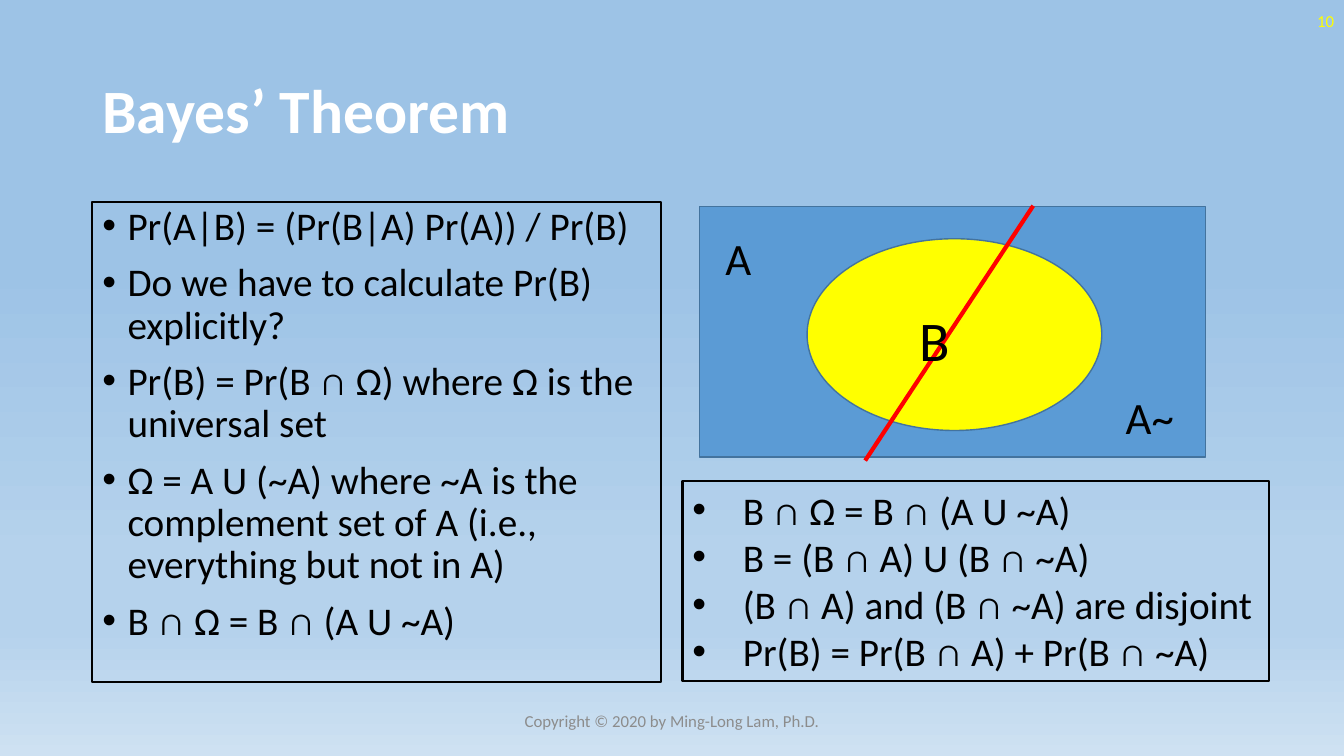
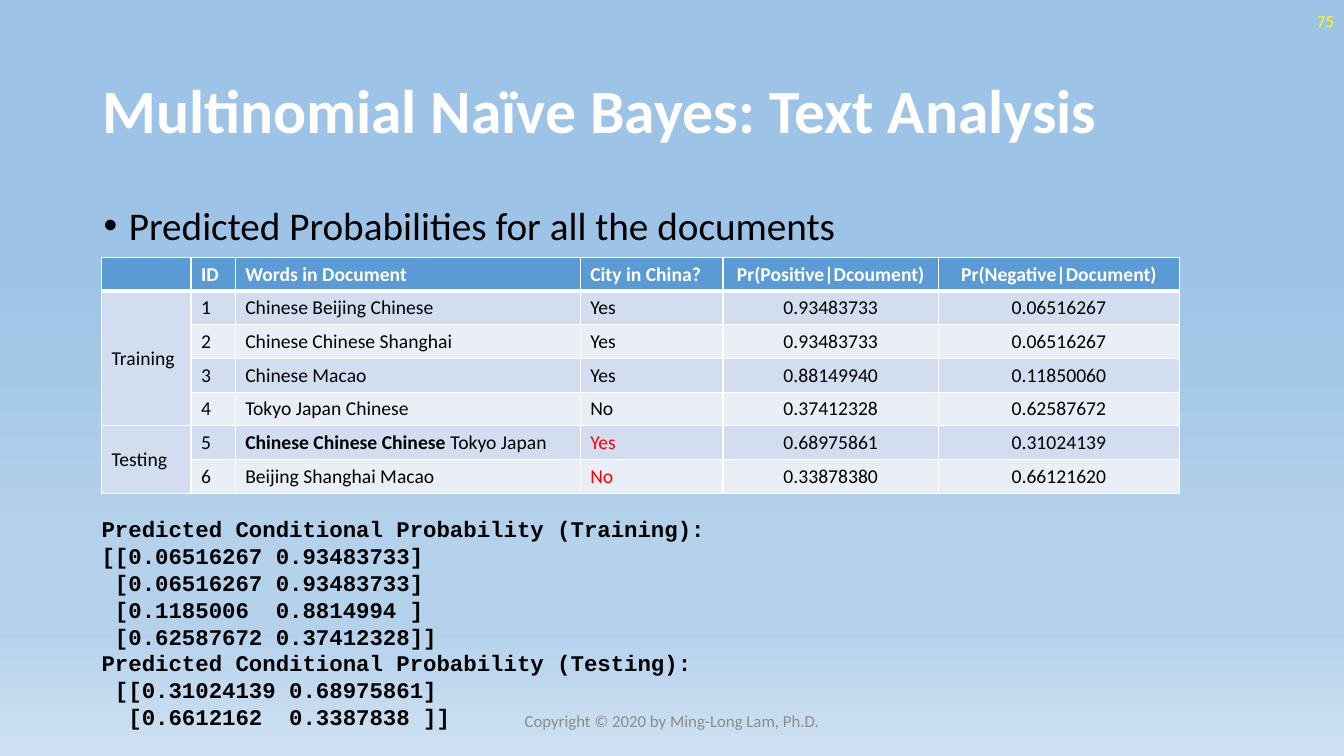
import copy
import lxml.etree
import pptx
import pptx.dml.color
import pptx.enum.shapes
import pptx.enum.text
import pptx.oxml.ns
import pptx.util

Pt = pptx.util.Pt
RGBColor = pptx.dml.color.RGBColor
SHAPE = pptx.enum.shapes.MSO_SHAPE
ALIGN = pptx.enum.text.PP_ALIGN
ANCHOR = pptx.enum.text.MSO_ANCHOR
qn = pptx.oxml.ns.qn

BLACK = RGBColor(0x00, 0x00, 0x00)
WHITE = RGBColor(0xFF, 0xFF, 0xFF)
YELLOW = RGBColor(0xFF, 0xFF, 0x00)
RED = RGBColor(0xFF, 0x00, 0x00)
GRAY = RGBColor(0x8C, 0x8C, 0x8C)
BLUE = RGBColor(0x5B, 0x9B, 0xD5)
DARK_BLUE = RGBColor(0x43, 0x73, 0x9E)
BANDS = (RGBColor(0xD2, 0xDE, 0xEF), RGBColor(0xEA, 0xEF, 0xF7))
SKY = RGBColor(0x9D, 0xC3, 0xE6)
HAZE = RGBColor(0xB5, 0xD2, 0xEC)
HORIZON = RGBColor(0xCE, 0xE1, 0xF2)
BACKGROUND = ((0.35, SKY), (0.74, HAZE), (0.83, HAZE), (1, HORIZON))

FOOTER = "Copyright © 2020 by Ming-Long Lam, Ph.D."
LEFT, BODY_TOP, BODY_HEIGHT = 66, 144, 343

BAYES_POINTS = [
    "Pr(A|B) = (Pr(B|A) Pr(A)) / Pr(B)",
    "Do we have to calculate Pr(B) explicitly?",
    "Pr(B) = Pr(B ∩ Ω) where Ω is the universal set",
    "Ω = A U (~A) where ~A is the complement set of A (i.e., everything but not in A)",
    "B ∩ Ω = B ∩ (A U ~A)",
]
PARTITION_POINTS = [
    "B ∩ Ω = B ∩ (A U ~A)",
    "B = (B ∩ A) U (B ∩ ~A)",
    "(B ∩ A) and (B ∩ ~A) are disjoint",
    "Pr(B) = Pr(B ∩ A) + Pr(B ∩ ~A)",
]
SET_LABELS = [
    ("A", (511, 161, 33, 46), 32),
    ("A~", (797, 275, 54, 46), 32),
    ("B", (650, 214.5, 66, 55), 40),
]

COLUMN_WIDTHS = (64, 31.5, 246.5, 102, 154, 172)
ROW_HEIGHT = 24
HEADER = ["", "ID", "Words in Document", "City in China?",
          "Pr(Positive|Dcoument)", "Pr(Negative|Document)"]
DOCUMENTS = {
    "Training": [
        ("1", "Chinese Beijing Chinese", "Yes", "0.93483733", "0.06516267"),
        ("2", "Chinese Chinese Shanghai", "Yes", "0.93483733", "0.06516267"),
        ("3", "Chinese Macao", "Yes", "0.88149940", "0.11850060"),
        ("4", "Tokyo Japan Chinese", "No", "0.37412328", "0.62587672"),
    ],
    "Testing": [
        ("5", [("Chinese Chinese Chinese", True), (" Tokyo Japan", False)],
         "Yes", "0.68975861", "0.31024139"),
        ("6", "Beijing Shanghai Macao", "No", "0.33878380", "0.66121620"),
    ],
}
CITY_COLUMN, FIRST_PROBABILITY_COLUMN = 3, 4
PROGRAM_OUTPUT = [
    "Predicted Conditional Probability (Training):",
    "[[0.06516267 0.93483733]",
    " [0.06516267 0.93483733]",
    " [0.1185006  0.8814994 ]",
    " [0.62587672 0.37412328]]",
    "Predicted Conditional Probability (Testing):",
    " [[0.31024139 0.68975861]",
    "  [0.6612162  0.3387838 ]]",
]


def points(lengths):
    return [Pt(length) for length in lengths]


def write(frame, paragraphs, size=28, color=BLACK, bold=False, font="Calibri",
          align=ALIGN.LEFT, anchor=ANCHOR.TOP, indent=0, spacing=1.0, before=0):
    frame.word_wrap = True
    frame.vertical_anchor = anchor
    for index, content in enumerate(paragraphs):
        paragraph = frame.add_paragraph() if index else frame.paragraphs[0]
        if indent:
            properties = paragraph._p.get_or_add_pPr()
            properties.set("marL", str(Pt(indent)))
            properties.set("indent", str(-Pt(indent)))
            lxml.etree.SubElement(properties, qn("a:buFont"), typeface="Arial")
            lxml.etree.SubElement(properties, qn("a:buChar"), char="•")
        paragraph.alignment = align
        paragraph.line_spacing = spacing
        paragraph.space_before = Pt(before if index else 0)
        if not content:
            lxml.etree.SubElement(paragraph._p, qn("a:endParaRPr"), sz=str(size * 100))
            continue
        runs = [(content, bold)] if isinstance(content, str) else content
        for text, run_bold in runs:
            run = paragraph.add_run()
            run.text = text
            run.font.size = Pt(size)
            run.font.name = font
            run.font.bold = run_bold
            run.font.color.rgb = color


def add_text(slide, box, paragraphs, outlined=False, **text_format):
    text_box = slide.shapes.add_textbox(*points(box))
    if outlined:
        text_box.line.color.rgb = BLACK
        text_box.line.width = Pt(1.5)
    write(text_box.text_frame, paragraphs, **text_format)


def add_region(slide, kind, box, fill):
    region = slide.shapes.add_shape(kind, *points(box))
    region.shadow.inherit = False
    region.fill.solid()
    region.fill.fore_color.rgb = fill
    region.line.color.rgb = DARK_BLUE
    region.line.width = Pt(1)


def add_slide(deck, title, number):
    slide = deck.slides.add_slide(deck.slide_layouts[6])
    background = slide.background.fill
    background.gradient()
    background.gradient_angle = 270
    stop_list = slide.element.find(".//" + qn("a:gsLst"))
    while len(stop_list) < len(BACKGROUND):
        stop_list.append(copy.deepcopy(stop_list[0]))
    for stop, (position, color) in zip(background.gradient_stops, BACKGROUND):
        stop.position = position
        stop.color.rgb = color
    add_text(slide, (LEFT, 29, 828, 104), [title], size=44, color=WHITE, bold=True,
             anchor=ANCHOR.MIDDLE, spacing=0.9)
    add_text(slide, (744, 0, 216, 29), [number], size=12, color=YELLOW,
             align=ALIGN.RIGHT, anchor=ANCHOR.MIDDLE)
    add_text(slide, (318, 500.5, 324, 29), [FOOTER], size=12, color=GRAY,
             align=ALIGN.CENTER, anchor=ANCHOR.MIDDLE)
    return slide


def add_border(cell, side, width):
    border = lxml.etree.SubElement(cell._tc.get_or_add_tcPr(), qn("a:ln" + side),
                                   w=str(Pt(width)))
    fill = lxml.etree.SubElement(border, qn("a:solidFill"))
    lxml.etree.SubElement(fill, qn("a:srgbClr"), val=str(WHITE))


def fill_cell(cell, content, row, fill, **text_format):
    for side in "LRTB":
        under_header = (row, side) in ((0, "B"), (1, "T"))
        add_border(cell, side, 3 if under_header else 1)
    cell.fill.solid()
    cell.fill.fore_color.rgb = fill
    write(cell.text_frame, [content], size=14, **text_format)
    cell.vertical_anchor = text_format.get("anchor", ANCHOR.TOP)


def column_align(column):
    return ALIGN.CENTER if column >= FIRST_PROBABILITY_COLUMN else ALIGN.LEFT


def add_documents(slide):
    row_count = 1 + sum(len(rows) for rows in DOCUMENTS.values())
    box = (72.5, 184, sum(COLUMN_WIDTHS), ROW_HEIGHT * row_count)
    table = slide.shapes.add_table(row_count, len(HEADER), *points(box)).table
    for column, width in zip(table.columns, COLUMN_WIDTHS):
        column.width = Pt(width)
    for column, heading in enumerate(HEADER):
        fill_cell(table.cell(0, column), heading, 0, BLUE, color=WHITE, bold=True,
                  align=column_align(column))
    row = 1
    for group, documents in DOCUMENTS.items():
        last = row + len(documents) - 1
        table.cell(row, 0).merge(table.cell(last, 0))
        fill_cell(table.cell(row, 0), group, row, BANDS[0], anchor=ANCHOR.MIDDLE)
        for document in documents:
            for column, value in enumerate(document, 1):
                predicted = group == "Testing" and column == CITY_COLUMN
                fill_cell(table.cell(row, column), value, row, BANDS[(row - 1) % 2],
                          color=RED if predicted else BLACK, align=column_align(column))
            row += 1


def build_theorem(deck):
    slide = add_slide(deck, "Bayes’ Theorem", "10")
    add_text(slide, (LEFT, BODY_TOP, 406, BODY_HEIGHT), BAYES_POINTS, outlined=True,
             indent=18, spacing=0.9, before=10)
    add_region(slide, SHAPE.RECTANGLE, (499.5, 147.5, 361.5, 179), BLUE)
    add_region(slide, SHAPE.OVAL, (576.5, 170.5, 210.5, 137), YELLOW)
    divider = slide.shapes.add_connector(pptx.enum.shapes.MSO_CONNECTOR.STRAIGHT,
                                         *points((738, 147, 618, 329)))
    divider.line.color.rgb = RED
    divider.line.width = Pt(3)
    lxml.etree.SubElement(divider._element.spPr, qn("a:effectLst"))
    for label, box, size in SET_LABELS:
        add_text(slide, box, [label], size=size)
    add_text(slide, (487.5, 343.5, 419, 143), PARTITION_POINTS, outlined=True, indent=36)


def build_text_analysis(deck):
    slide = add_slide(deck, "Multinomial Naïve Bayes: Text Analysis", "75")
    add_text(slide, (LEFT + 1, BODY_TOP, 828, BODY_HEIGHT),
             ["Predicted Probabilities for all the documents"], indent=18, spacing=0.9)
    add_documents(slide)
    add_text(slide, (65.5, 364.5, 548, 163), PROGRAM_OUTPUT, size=16, bold=True,
             font="Courier New")


def main():
    deck = pptx.Presentation()
    deck.slide_width, deck.slide_height = Pt(960), Pt(540)
    build_theorem(deck)
    build_text_analysis(deck)
    deck.save("out.pptx")


if __name__ == "__main__":
    main()
